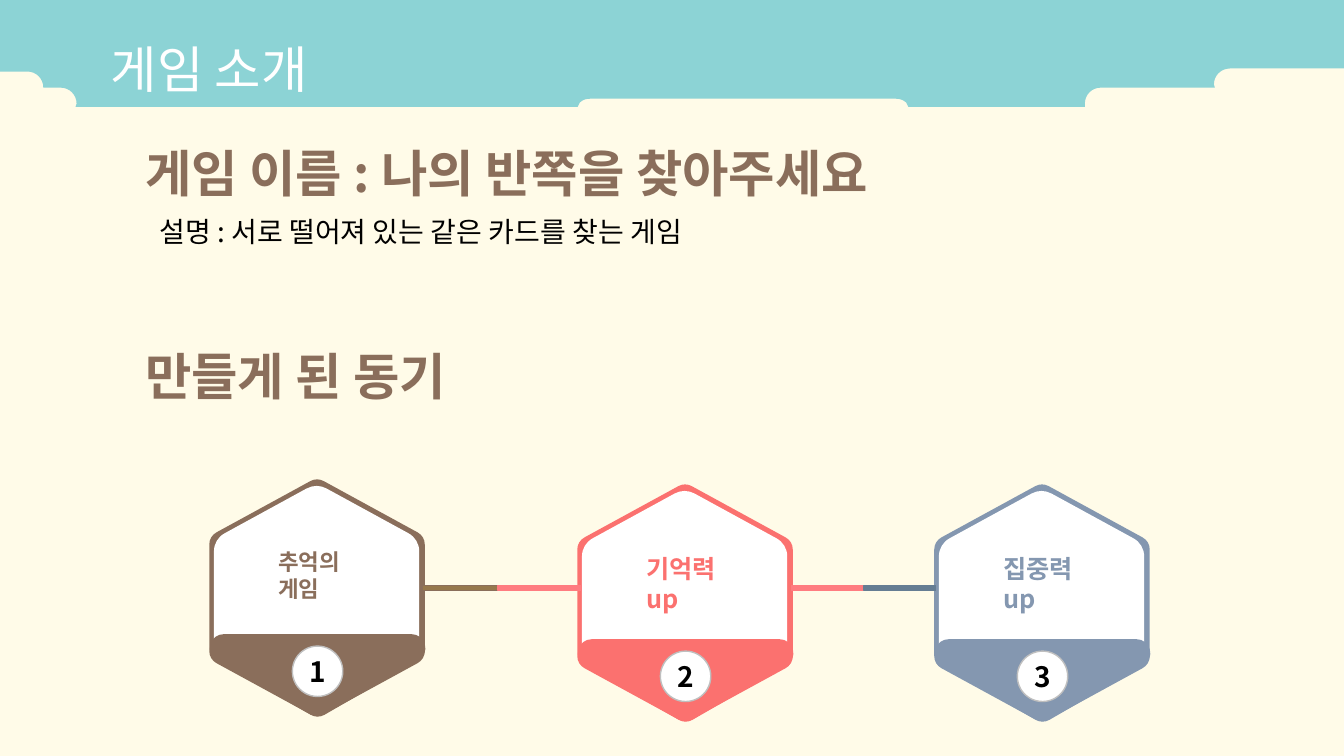
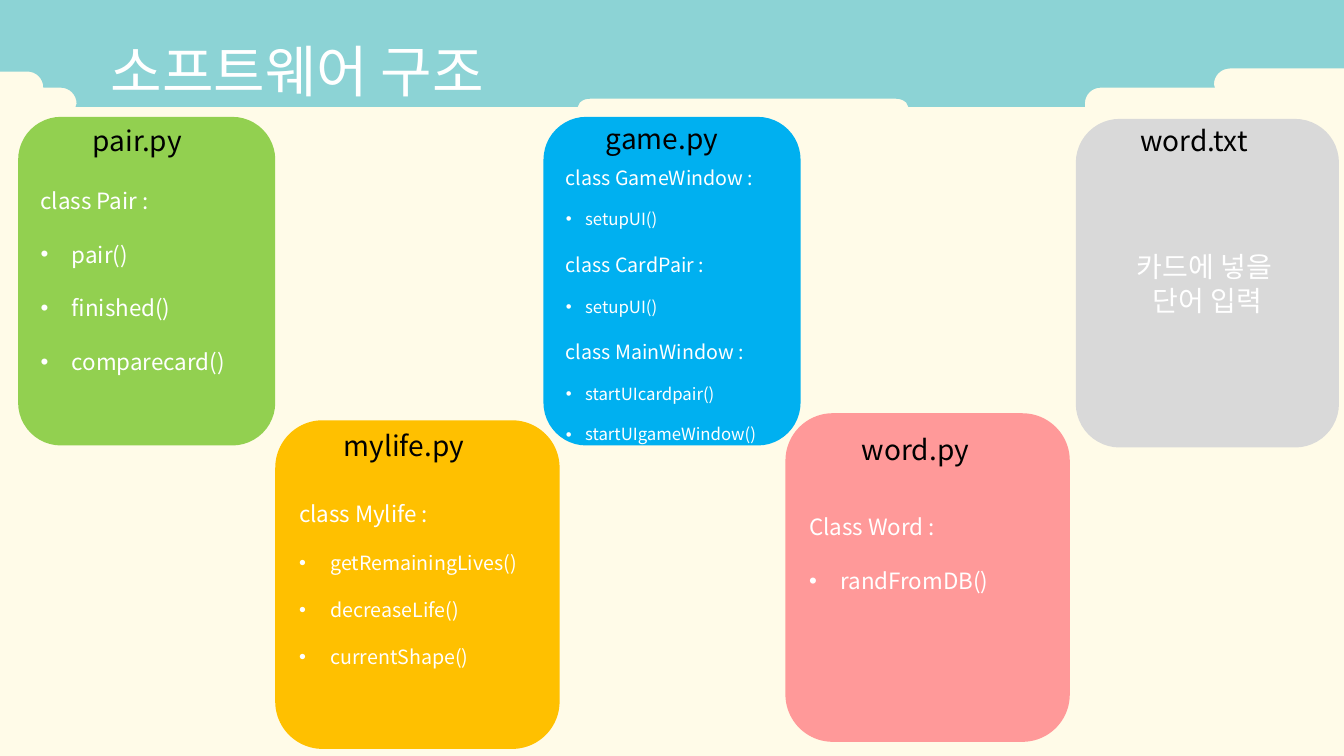
"""Build two slides that introduce a card matching game and its software structure."""
from dataclasses import dataclass

from lxml import etree
from pptx import Presentation
from pptx.dml.color import RGBColor
from pptx.enum.shapes import MSO_SHAPE
from pptx.enum.text import MSO_ANCHOR, MSO_AUTO_SIZE, PP_ALIGN
from pptx.oxml.ns import qn
from pptx.util import Inches, Pt

HEXAGON = MSO_SHAPE.HEXAGON
TRIANGLE = MSO_SHAPE.ISOSCELES_TRIANGLE
ELLIPSE = MSO_SHAPE.OVAL
RECTANGLE = MSO_SHAPE.RECTANGLE
ROUNDED = MSO_SHAPE.ROUNDED_RECTANGLE
MIDDLE = MSO_ANCHOR.MIDDLE
FIT_TEXT = MSO_AUTO_SIZE.SHAPE_TO_FIT_TEXT
LEFT, CENTER = PP_ALIGN.LEFT, PP_ALIGN.CENTER

FONT = "Noto Sans CJK KR"
CREAM, TEAL, BROWN = "FFFBE8", "8CD3D5", "8A6E5B"
CORAL, BLUE_GRAY, PINK = "FB716F", "8497B0", "FF7C80"
WHITE, BLACK, SILVER = "FFFFFF", "000000", "BFBFBF"

BAND_OUTLINE = [
    (13.33, 0), (13.33, 0.68), (12.2, 0.68),
    (12.11, 0.68, 12.04, 0.75, 12.04, 0.84), (12.05, 0.87), (10.92, 0.87),
    (10.83, 0.87, 10.76, 0.94, 10.76, 1.03), (10.76, 1.06), (9.01, 1.06),
    (8.99, 1.02), (8.96, 0.99, 8.92, 0.98, 8.88, 0.98), (5.86, 0.98),
    (5.81, 0.98, 5.78, 0.99, 5.75, 1.02), (5.73, 1.06), (0.75, 1.06),
    (0.76, 1.03), (0.76, 0.94, 0.69, 0.87, 0.6, 0.87), (0.43, 0.87),
    (0.43, 0.78, 0.36, 0.71, 0.27, 0.71), (0, 0.71),
]
CURVE_STEPS = 8


@dataclass
class Line:
    text: str
    size: float
    color: str = WHITE
    bold: bool = False
    align: int = LEFT
    spacing: float = 1.0
    gap: float = 0
    hang: float = 0


@dataclass
class Badge:
    left: float
    top: float
    color: str
    number: str
    label: str
    label_size: float


@dataclass
class Bar:
    left: float
    width: float
    fill: str
    edge: str


@dataclass
class Card:
    left: float
    top: float
    width: float
    fill: str
    name: str
    name_left: float
    name_top: float
    lines: list[Line]
    inset_top: float = 0.05
    inset_bottom: float = 0.05


def rgb(color: str) -> RGBColor:
    return RGBColor.from_string(color)


def write(shape, lines: list[Line]) -> None:
    frame = shape.text_frame
    frame.word_wrap = True
    for index, line in enumerate(lines):
        paragraph = frame.paragraphs[0] if index == 0 else frame.add_paragraph()
        paragraph.alignment = line.align
        paragraph.line_spacing = line.spacing
        if line.gap:
            paragraph.space_before = Pt(line.gap)
        if line.hang:
            properties = paragraph._p.get_or_add_pPr()
            properties.set("marL", str(Inches(line.hang)))
            properties.set("indent", str(-Inches(line.hang)))
            etree.SubElement(properties, qn("a:buFont")).set("typeface", "Arial")
            etree.SubElement(properties, qn("a:buChar")).set("char", "•")
        run = paragraph.add_run()
        run.text = line.text
        run.font.size = Pt(line.size)
        run.font.bold = line.bold
        run.font.color.rgb = rgb(line.color)
        run.font.name = FONT
        etree.SubElement(run._r.get_or_add_rPr(), qn("a:ea")).set("typeface", FONT)


def paint(shape, fill: str, edge: str = "", weight: float = 0) -> None:
    shape.shadow.inherit = False
    shape.fill.solid()
    shape.fill.fore_color.rgb = rgb(fill)
    if edge:
        shape.line.color.rgb = rgb(edge)
        shape.line.width = Pt(weight)
        etree.SubElement(shape.line._get_or_add_ln(), qn("a:round"))
    else:
        shape.line.fill.background()


def add_shape(shapes, kind: int, left: float, top: float, width: float, height: float,
              fill: str, edge: str = "", weight: float = 0, rotation: float = 0):
    shape = shapes.add_shape(kind, Inches(left), Inches(top), Inches(width), Inches(height))
    shape.rotation = rotation
    paint(shape, fill, edge, weight)
    return shape


def add_text(shapes, left: float, top: float, width: float, height: float,
             line: Line, fit: bool = True) -> None:
    box = shapes.add_textbox(Inches(left), Inches(top), Inches(width), Inches(height))
    write(box, [line])
    if fit:
        box.text_frame.auto_size = FIT_TEXT


def band_points() -> list[tuple[int, int]]:
    points = [(0.0, 0.0)]
    for step in BAND_OUTLINE:
        if len(step) == 2:
            points.append(step)
            continue
        x0, y0 = points[-1]
        x1, y1, x2, y2, x3, y3 = step
        for index in range(1, CURVE_STEPS + 1):
            t = index / CURVE_STEPS
            a, b, c, d = (1 - t) ** 3, 3 * t * (1 - t) ** 2, 3 * t * t * (1 - t), t ** 3
            points.append((a * x0 + b * x1 + c * x2 + d * x3,
                           a * y0 + b * y1 + c * y2 + d * y3))
    return [(Inches(x), Inches(y)) for x, y in points]


def add_titled_slide(deck, title: str, size: float):
    slide = deck.slides.add_slide(deck.slide_layouts[6])
    start, *rest = band_points()
    builder = slide.shapes.build_freeform(*start)
    builder.add_line_segments(rest, close=True)
    band = builder.convert_to_shape()
    paint(band, TEAL)
    band.text_frame.vertical_anchor = MIDDLE
    band.text_frame.margin_left = Inches(1.1)
    write(band, [Line(title, size, spacing=1.5)])
    return slide


def add_badge(slide, badge: Badge) -> None:
    shapes = slide.shapes.add_group_shape().shapes
    x, y, color = badge.left, badge.top, badge.color
    for inset, width, height, tint, weight in ((0, 2.07, 1.86, color, 20),
                                               (0.13, 1.8, 1.62, WHITE, 30)):
        hexagon = add_shape(shapes, HEXAGON, x + inset, y + inset * 0.92, width, height,
                            tint, tint, weight, 270)
        hexagon.adjustments[0] = 0.273
    add_shape(shapes, TRIANGLE, x + 0.11, y + 1.43, 1.86, 0.54, color, color, 20, 180)
    disc = add_shape(shapes, ELLIPSE, x + 0.79, y + 1.41, 0.5, 0.5, WHITE, SILVER, 1)
    frame = disc.text_frame
    frame.vertical_anchor = MIDDLE
    frame.margin_left = frame.margin_right = 0
    write(disc, [Line(badge.number, 20, BLACK, True, CENTER)])
    add_text(shapes, x + 0.55, y + 0.39, 0.96, 0.71,
             Line(badge.label, badge.label_size, color, True))


def add_card(slide, card: Card) -> None:
    body = add_shape(slide.shapes, ROUNDED, card.left, card.top, card.width, 3.26, card.fill)
    frame = body.text_frame
    frame.vertical_anchor = MIDDLE
    frame.margin_top = Inches(card.inset_top)
    frame.margin_bottom = Inches(card.inset_bottom)
    write(body, card.lines)
    add_text(slide.shapes, card.name_left, card.name_top, 1.69, 0.44,
             Line(card.name, 20, BLACK))


def class_lines(heading: str, methods: list[str], size: float, method_size: float,
                hang: float = 0.31, gap: float = 0) -> list[Line]:
    bullets = [Line(method, method_size, gap=method_size * 1.2, hang=hang)
               for method in methods]
    return [Line(heading, size, gap=gap), *bullets]


def build_intro(deck) -> None:
    slide = add_titled_slide(deck, "게임 소개", 36)
    for top, heading in ((1.06, "게임 이름 : 나의 반쪽을 찾아주세요"),
                         (3.07, "만들게 된 동기")):
        add_text(slide.shapes, 1.34, top, 9.92, 0.93,
                 Line(heading, 36, BROWN, True, spacing=1.5))
    add_text(slide.shapes, 1.42, 2.12, 11.5, 0.54,
             Line(" 설명 : 서로 떨어져 있는 같은 카드를 찾는 게임", 20, BLACK, spacing=0.9),
             fit=False)
    for badge in (Badge(2.11, 5, BROWN, "1", "추억의 게임", 16),
                  Badge(5.76, 5.05, CORAL, "2", "기억력 up", 18),
                  Badge(9.3, 5.05, BLUE_GRAY, "3", "집중력up", 18)):
        add_badge(slide, badge)
    for bar in (Bar(4.19, 0.75, "96784C", BROWN), Bar(4.94, 0.83, PINK, PINK),
                Bar(7.85, 0.71, PINK, PINK), Bar(8.57, 0.71, "657D93", "657D93")):
        add_shape(slide.shapes, RECTANGLE, bar.left, 5.81, bar.width, 0.05,
                  bar.fill, bar.edge, 1)


def build_structure(deck) -> None:
    slide = add_titled_slide(deck, "소프트웨어 구조", 40)
    pair = class_lines("class Pair :", ["pair()", "finished()", "comparecard()"], 16, 16)
    life = class_lines("class Mylife :",
                       ["getRemainingLives()", "decreaseLife()", "currentShape()"], 16, 14)
    game = [
        *class_lines("class GameWindow :", ["setupUI()"], 14, 12, 0.19),
        *class_lines("class CardPair :", ["setupUI()"], 14, 12, 0.19, 16.8),
        *class_lines("class MainWindow :", ["startUIcardpair()", "startUIgameWindow()"],
                     14, 12, 0.19, 16.8),
    ]
    word = class_lines("Class Word :", ["randFromDB()"], 16, 16)
    entry = [Line(text, 20, align=CENTER) for text in ("카드에 넣을 ", "단어 입력")]
    for card in (
        Card(0.18, 1.16, 2.55, "92D050", "pair.py", 0.82, 1.18, pair),
        Card(2.73, 4.17, 2.82, "FFC000", "mylife.py", 3.31, 4.2, life),
        Card(5.39, 1.16, 2.55, "00B0F0", "game.py", 5.91, 1.16, game, inset_top=0.52),
        Card(7.79, 4.1, 2.82, "FF9999", "word.py", 8.45, 4.24, word, inset_bottom=0.52),
        Card(10.67, 1.18, 2.61, "D9D9D9", "word.txt", 11.21, 1.18, entry),
    ):
        add_card(slide, card)


def main() -> None:
    deck = Presentation()
    deck.slide_width, deck.slide_height = Inches(13.33), Inches(7.5)
    background = deck.slide_master.background.fill
    background.solid()
    background.fore_color.rgb = rgb(CREAM)
    build_intro(deck)
    build_structure(deck)
    deck.save("out.pptx")


if __name__ == "__main__":
    main()
